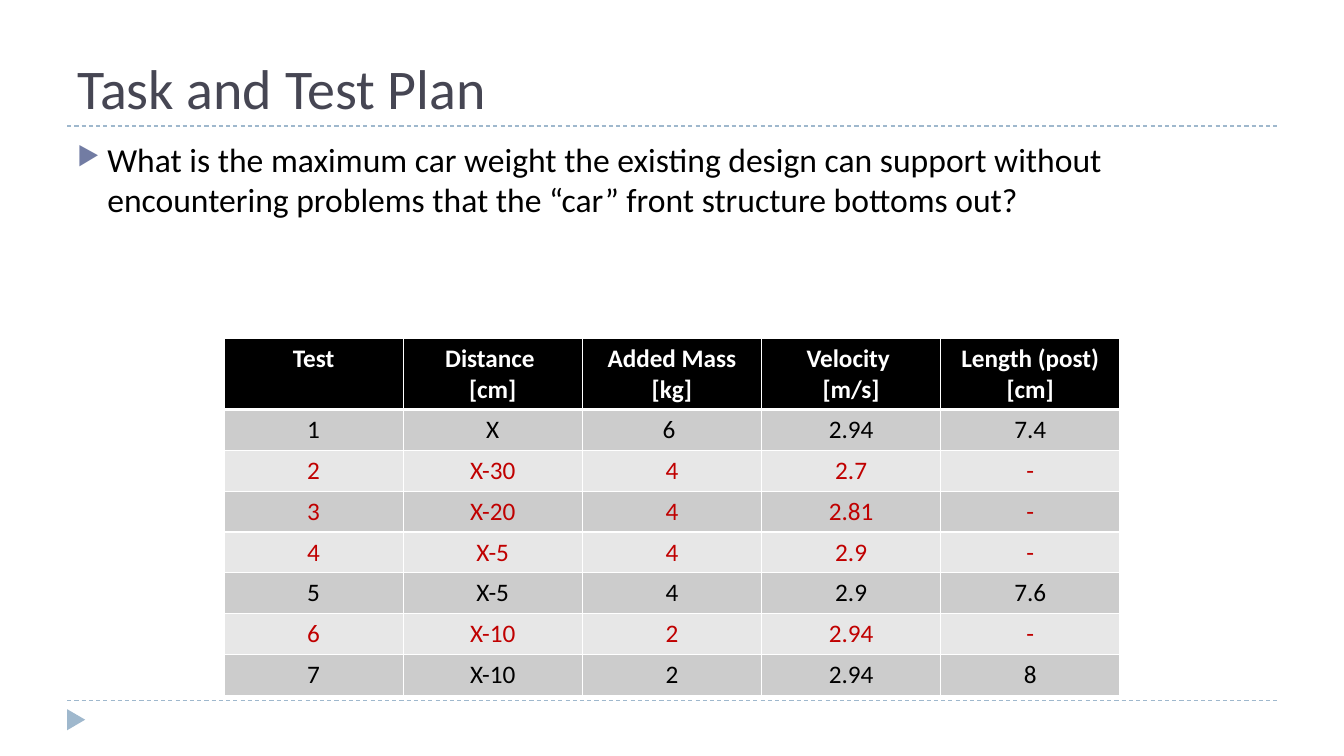
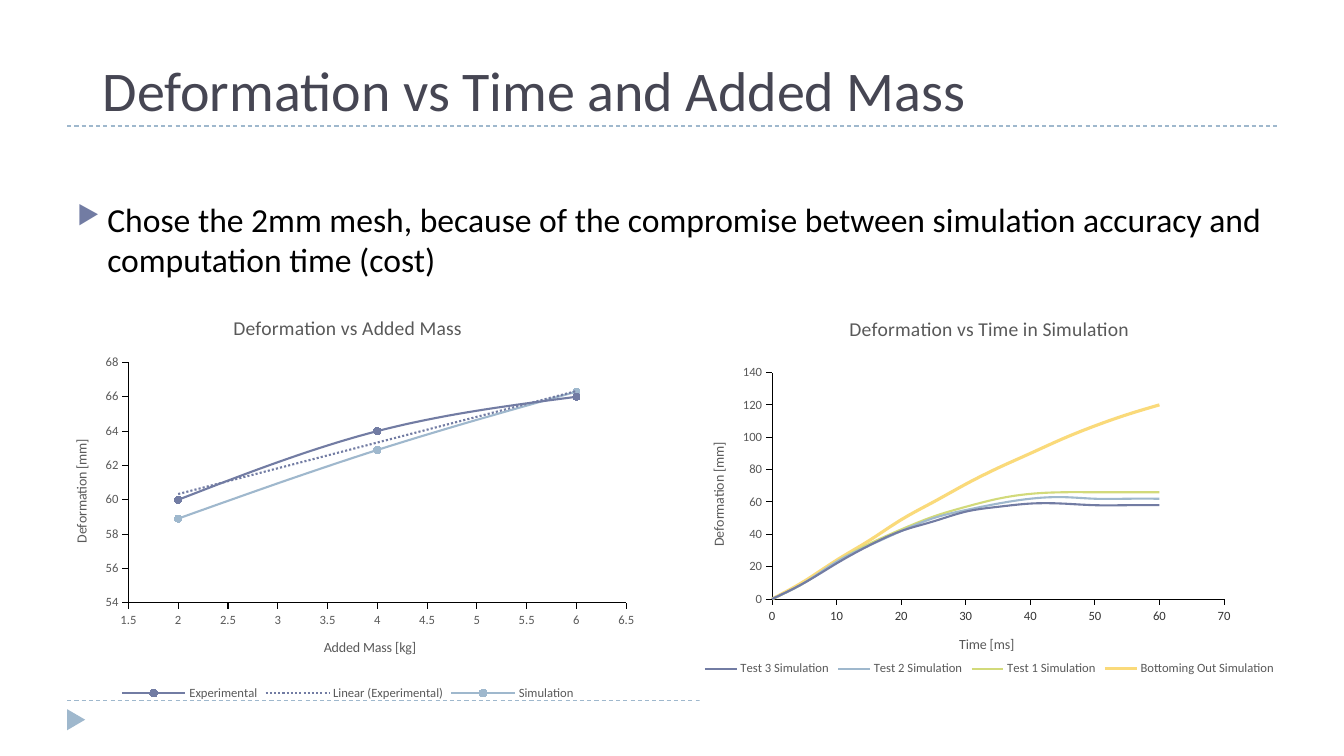
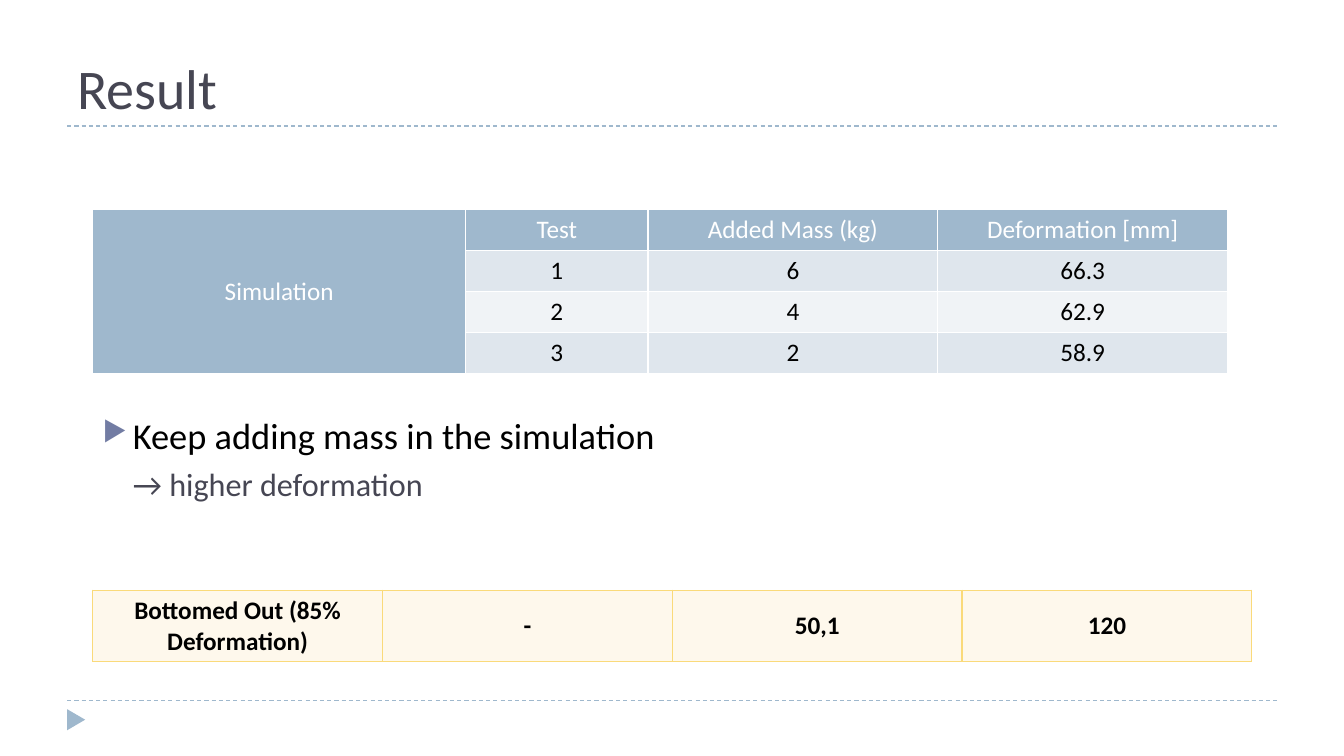
"""Build three slides on a car deformation study: test plan, charts and result."""
from dataclasses import dataclass
from typing import Any, Optional

from pptx import Presentation
from pptx.chart.data import XyChartData
from pptx.dml.color import RGBColor
from pptx.enum.chart import XL_CHART_TYPE as ChartType
from pptx.enum.chart import XL_LEGEND_POSITION as LegendPosition
from pptx.enum.chart import XL_MARKER_STYLE as MarkerStyle
from pptx.enum.chart import XL_TICK_MARK as TickMark
from pptx.enum.chart import XL_AXIS_CROSSES as AxisCrosses
from pptx.enum.dml import MSO_LINE_DASH_STYLE as Dash
from pptx.enum.shapes import MSO_CONNECTOR_TYPE as Connector
from pptx.enum.shapes import MSO_SHAPE as Preset
from pptx.enum.text import MSO_ANCHOR as Anchor
from pptx.enum.text import MSO_AUTO_SIZE as AutoSize
from pptx.enum.text import PP_ALIGN as Align
from pptx.oxml import parse_xml
from pptx.oxml.ns import nsdecls, qn
from pptx.util import Pt

FONT = "Calibri"
INK, WHITE, RED = "000000", "FFFFFF", "C00000"
SLATE, GRAY, DARK_GRAY = "464653", "595959", "333333"
INDIGO, BLUE, GREEN, YELLOW = "727CA3", "9FB8CD", "D2DA7A", "FADA7A"

Box = tuple[float, float, float, float]
TITLE_BOX: Box = (48, 12.24, 864, 77.76)


@dataclass(frozen=True)
class Line:
    """One body paragraph."""
    text: str
    size: float
    color: str = INK
    margin: float = 21.6
    before: float = 6
    bullet: bool = True


@dataclass(frozen=True)
class Grid:
    """A table with one fill and one text colour for each row."""
    left: float
    top: float
    widths: list[float]
    heights: list[float]
    rows: list[list[str]]
    fills: list[str]
    inks: list[str]
    border: str = WHITE
    header_rule: float = 1
    bold_header: bool = False
    anchor: Any = Anchor.MIDDLE


@dataclass(frozen=True)
class Curve:
    """One scatter series."""
    name: str
    values: list[float]
    color: str
    weight: float = 1.5


@dataclass(frozen=True)
class Scale:
    """A value axis."""
    title: str
    low: float
    high: float
    step: float
    color: str = GRAY


@dataclass(frozen=True)
class Plot:
    """A scatter chart with smooth curves."""
    title: str
    box: Box
    inner: Box
    across: Scale
    upward: Scale
    xs: list[float]
    curves: list[Curve]
    markers: bool = False
    trend: bool = False
    fill: Optional[str] = None
    legend: Optional[Box] = None


def rgb(color: str) -> RGBColor:
    """Turn a hex string into a colour."""
    return RGBColor.from_string(color)


def points(box: Box) -> list[Pt]:
    """Turn a box of numbers into lengths."""
    return [Pt(value) for value in box]


def move(shape: Any, box: Box) -> None:
    """Set the place and size of a shape."""
    shape.left, shape.top, shape.width, shape.height = points(box)


def set_font(font: Any, size: float, color: str, bold: bool = False) -> None:
    """Apply the deck font."""
    font.name, font.size, font.bold = FONT, Pt(size), bold
    font.color.rgb = rgb(color)


def write(frame: Any, text: str, size: float, color: str, bold: bool = False) -> None:
    """Fill a text frame and format its runs."""
    frame.text = text
    for para in frame.paragraphs:
        for span in para.runs:
            set_font(span.font, size, color, bold)


def build_layout(deck: Any) -> Any:
    """Put the dashed rules, the corner mark and the title box on the title-only layout."""
    layout = deck.slide_layouts[5]
    for holder in list(layout.placeholders):
        if holder.placeholder_format.idx == 0:
            move(holder, TITLE_BOX)
        else:
            layout.shapes.element.remove(holder.element)
    return layout


def draw_shared(page: Any, layout: Any) -> None:
    """Draw the rules and the corner mark, then hand them to the layout."""
    shapes = []
    for y in (500.4, 90):
        rule = page.shapes.add_connector(Connector.STRAIGHT, *points((48, y, 912, y)))
        rule.line.color.rgb = rgb(BLUE)
        rule.line.width = Pt(0.75)
        rule.line.dash_style = Dash.DASH
        rule.element.spPr.append(parse_xml(f"<a:effectLst {nsdecls('a')}/>"))
        shapes.append(rule)
    mark = page.shapes.add_shape(Preset.ISOSCELES_TRIANGLE, *points((46.8, 507.6, 15.12, 12.96)))
    mark.rotation = 90
    mark.shadow.inherit = False
    mark.fill.solid()
    mark.fill.fore_color.rgb = rgb(BLUE)
    mark.line.fill.background()
    for shape in [*shapes, mark]:
        layout.shapes.element.append(shape.element)


def add_page(deck: Any, layout: Any, title: str, box: Box = TITLE_BOX) -> Any:
    """Add a page with a formatted title."""
    page = deck.slides.add_slide(layout)
    holder = page.shapes.title
    move(holder, box)
    frame = holder.text_frame
    write(frame, title, 40, SLATE)
    frame.auto_size = AutoSize.NONE
    frame.vertical_anchor = Anchor.BOTTOM
    frame.paragraphs[0].alignment = Align.LEFT
    return page


def add_body(page: Any, box: Box, lines: list[Line]) -> None:
    """Add body text with triangle bullets."""
    frame = page.shapes.add_textbox(*points(box)).text_frame
    frame.word_wrap = True
    frame.text = "\n".join(line.text for line in lines)
    for para, line in zip(frame.paragraphs, lines):
        para.space_before = Pt(line.before)
        set_font(para.runs[0].font, line.size, line.color)
        props = para._p.get_or_add_pPr()
        props.set("marL", str(Pt(line.margin)))
        props.set("indent", str(Pt(-21.6)))
        if line.bullet:
            for xml in (f'<a:buClr {nsdecls("a")}><a:srgbClr val="{INDIGO}"/></a:buClr>',
                        f'<a:buSzPct {nsdecls("a")} val="76000"/>',
                        f'<a:buChar {nsdecls("a")} char="▶"/>'):
                props.append(parse_xml(xml))


def set_borders(cell: Any, color: str, top: float, bottom: float) -> None:
    """Draw the four borders of a cell."""
    props = cell._tc.get_or_add_tcPr()
    for side, weight in (("L", 1), ("R", 1), ("T", top), ("B", bottom)):
        props.append(parse_xml(
            f'<a:ln{side} {nsdecls("a")} w="{Pt(weight)}"><a:solidFill>'
            f'<a:srgbClr val="{color}"/></a:solidFill></a:ln{side}>'))


def add_grid(page: Any, grid: Grid) -> Any:
    """Add a table and return it."""
    box = (grid.left, grid.top, sum(grid.widths), sum(grid.heights))
    table = page.shapes.add_table(len(grid.rows), len(grid.widths), *points(box)).table
    table.horz_banding = False
    for column, width in zip(table.columns, grid.widths):
        column.width = Pt(width)
    for r, texts in enumerate(grid.rows):
        table.rows[r].height = Pt(grid.heights[r])
        for c, text in enumerate(texts):
            cell = table.cell(r, c)
            write(cell.text_frame, text, 18, grid.inks[r], grid.bold_header and r == 0)
            for para in cell.text_frame.paragraphs:
                para.alignment = Align.CENTER
            cell.vertical_anchor = grid.anchor
            set_borders(cell, grid.border, grid.header_rule if r == 1 else 1,
                        grid.header_rule if r == 0 else 1)
            cell.fill.solid()
            cell.fill.fore_color.rgb = rgb(grid.fills[r])
    return table


def set_manual_layout(parent: Any, index: int, box: Box, inner: bool = False) -> None:
    """Fix a chart part at fractions of the chart area."""
    old = parent.find(qn("c:layout"))
    if old is not None:
        parent.remove(old)
    target = '<c:layoutTarget val="inner"/>' if inner else ""
    modes = "".join(f'<c:{key}Mode val="edge"/>' for key in "xy")
    sizes = "".join(f'<c:{key} val="{value}"/>' for key, value in zip("xywh", box))
    parent.insert(index, parse_xml(
        f'<c:layout {nsdecls("c")}><c:manualLayout>{target}{modes}{sizes}'
        "</c:manualLayout></c:layout>"))


def format_axis(axis: Any, scale: Scale) -> None:
    """Apply a scale to a chart axis."""
    axis.minimum_scale, axis.maximum_scale, axis.major_unit = scale.low, scale.high, scale.step
    axis.has_major_gridlines = False
    axis.major_tick_mark, axis.minor_tick_mark = TickMark.OUTSIDE, TickMark.NONE
    axis.crosses = AxisCrosses.MINIMUM
    axis.tick_labels.number_format = "General"
    axis.tick_labels.number_format_is_linked = False
    set_font(axis.tick_labels.font, 9, scale.color)
    axis.format.line.color.rgb = rgb(INK)
    axis.format.line.width = Pt(0.75)
    write(axis.axis_title.text_frame, scale.title, 10, GRAY)


def add_plot(page: Any, plot: Plot) -> None:
    """Add a smooth scatter chart."""
    data = XyChartData()
    for curve in plot.curves:
        series = data.add_series(curve.name)
        for x, y in zip(plot.xs, curve.values):
            series.add_data_point(x, y)
    kind = ChartType.XY_SCATTER_SMOOTH if plot.markers else ChartType.XY_SCATTER_SMOOTH_NO_MARKERS
    chart = page.shapes.add_chart(kind, *points(plot.box), data).chart
    set_font(chart.font, 10, INK)
    write(chart.chart_title.text_frame, plot.title, 14, GRAY)
    chart.chart_title.include_in_layout = False
    format_axis(chart.category_axis, plot.across)
    format_axis(chart.value_axis, plot.upward)
    chart.has_legend = True
    chart.legend.position = LegendPosition.BOTTOM
    chart.legend.include_in_layout = False
    set_font(chart.legend.font, 9, GRAY)
    chart.plots[0].vary_by_categories = False
    for series, curve in zip(chart.plots[0].series, plot.curves):
        series.format.line.color.rgb = rgb(curve.color)
        series.format.line.width = Pt(curve.weight)
        if plot.markers:
            series.marker.style, series.marker.size = MarkerStyle.CIRCLE, 5
            series.marker.format.fill.solid()
            series.marker.format.fill.fore_color.rgb = rgb(curve.color)
            series.marker.format.line.color.rgb = rgb(curve.color)

    root = chart.element
    for smooth in root.iter(qn("c:smooth")):
        smooth.set("val", "1")
    set_manual_layout(root.find(".//" + qn("c:plotArea")), 0, plot.inner, inner=True)
    if plot.legend:
        set_manual_layout(root.find(".//" + qn("c:legend")), 1, plot.legend)
    if plot.trend:
        root.find(".//" + qn("c:xVal")).addprevious(parse_xml(
            f'<c:trendline {nsdecls("c", "a")}><c:spPr><a:ln w="{Pt(1.5)}"><a:solidFill>'
            f'<a:srgbClr val="{plot.curves[0].color}"/></a:solidFill>'
            '<a:prstDash val="sysDot"/></a:ln></c:spPr><c:trendlineType val="linear"/>'
            '<c:dispRSqr val="0"/><c:dispEq val="0"/></c:trendline>'))
    fill = (f'<a:solidFill><a:srgbClr val="{plot.fill}"/></a:solidFill>'
            if plot.fill else "<a:noFill/>")
    root.find(qn("c:txPr")).addprevious(parse_xml(
        f'<c:spPr {nsdecls("c", "a")}>{fill}<a:ln><a:noFill/></a:ln></c:spPr>'))


def build_plan(page: Any) -> None:
    """Fill the test plan page."""
    add_body(page, (48, 95.76, 864, 388.8), [Line(
        "What is the maximum car weight the existing design can support without "
        "encountering problems that the “car” front structure bottoms out?", 24)])
    tests = [
        ["1", "X", "6 ", "2.94", "7.4"],
        ["2", "X-30", "4", "2.7", "-"],
        ["3", "X-20", "4", "2.81", "-"],
        ["4", "X-5", "4", "2.9", "-"],
        ["5", "X-5", "4", "2.9", "7.6"],
        ["6", "X-10", "2", "2.94", "-"],
        ["7", "X-10", "2", "2.94", "8"],
    ]
    header = ["Test", "Distance \n[cm]", "Added Mass [kg]", "Velocity \n[m/s]",
              "Length (post) [cm]"]
    add_grid(page, Grid(
        160, 242, [128] * 5, [50.4] + [29.2] * 7, [header, *tests],
        fills=[INK] + [("CCCCCC", "E7E7E7")[i % 2] for i in range(len(tests))],
        inks=[WHITE] + [RED if test[-1] == "-" else INK for test in tests],
        header_rule=3, bold_header=True, anchor=Anchor.TOP))


def build_charts(page: Any) -> None:
    """Fill the page with the two charts."""
    add_body(page, (48, 138.24, 864, 346.32), [Line(
        "Chose the 2mm mesh, because of the compromise between simulation accuracy "
        "and computation time (cost)", 24)])
    add_plot(page, Plot(
        "Deformation vs Added Mass", (36.72, 212.4, 423.36, 290.88), (0.13, 0.16, 0.84, 0.59),
        Scale("Added Mass [kg]", 1.5, 6.5, 0.5), Scale("Deformation [mm]", 54, 68, 2),
        [6, 4, 2],
        [Curve("Experimental", [66, 64, 60], INDIGO),
         Curve("Simulation", [66.3, 62.9, 58.9], BLUE)],
        markers=True, trend=True))
    add_plot(page, Plot(
        "Deformation vs Time in Simulation", (499.68, 212.4, 414, 327.6),
        (0.125, 0.164, 0.78, 0.494),
        Scale("Time [ms]", 0, 70, 10, DARK_GRAY), Scale("Deformation [mm]", 0, 140, 20),
        list(range(0, 61, 5)),
        [Curve("Test 3 Simulation",
               [0, 10, 22, 33, 42, 48, 54, 57, 59, 59, 58, 58, 58], INDIGO),
         Curve("Test 2 Simulation",
               [0, 10, 23, 33, 42, 50, 55, 59, 62, 63, 62, 62, 62], BLUE),
         Curve("Test 1 Simulation",
               [0, 10, 23, 34, 43, 51, 57, 62, 65, 66, 66, 66, 66], GREEN),
         Curve("Bottoming Out Simulation",
               [0, 11, 24, 36, 49, 60, 71, 81, 90, 99, 107, 114, 120], YELLOW, 2.25)],
        fill=WHITE, legend=(0, 0.78, 1, 0.06)))


def build_result(page: Any) -> None:
    """Fill the result page."""
    add_body(page, (66.24, 291.6, 828, 195.12), [
        Line("Keep adding mass in the simulation", 26),
        Line("→ higher deformation", 23, SLATE, margin=43.2, before=5, bullet=False)])
    table = add_grid(page, Grid(
        66.24, 149.76, [266.4, 130.3, 207, 207], [29.2] * 4,
        [["Simulation", "Test", "Added Mass (kg)", "Deformation [mm]"],
         ["", "1", "6", "66.3"],
         ["", "2", "4", "62.9"],
         ["", "3", "2", "58.9"]],
        fills=[BLUE, "DFE6ED", "F0F3F6", "DFE6ED"], inks=[WHITE, INK, INK, INK]))
    table.cell(0, 0).merge(table.cell(3, 0))
    add_grid(page, Grid(
        66.24, 421.6, [207] * 4, [51],
        [["Bottomed Out (85% Deformation)", "-", "50,1", "120"]],
        fills=["FEF8EC"], inks=[INK], border=YELLOW, bold_header=True))


def main() -> None:
    """Build and save the deck."""
    deck = Presentation()
    deck.slide_width, deck.slide_height = Pt(960), Pt(540)
    layout = build_layout(deck)
    plan = add_page(deck, layout, "Task and Test Plan")
    draw_shared(plan, layout)
    build_plan(plan)
    build_charts(add_page(deck, layout, "Deformation vs Time and Added Mass",
                          (66.24, 18.72, 828, 72.72)))
    build_result(add_page(deck, layout, "Result"))
    deck.save("out.pptx")


if __name__ == "__main__":
    main()
